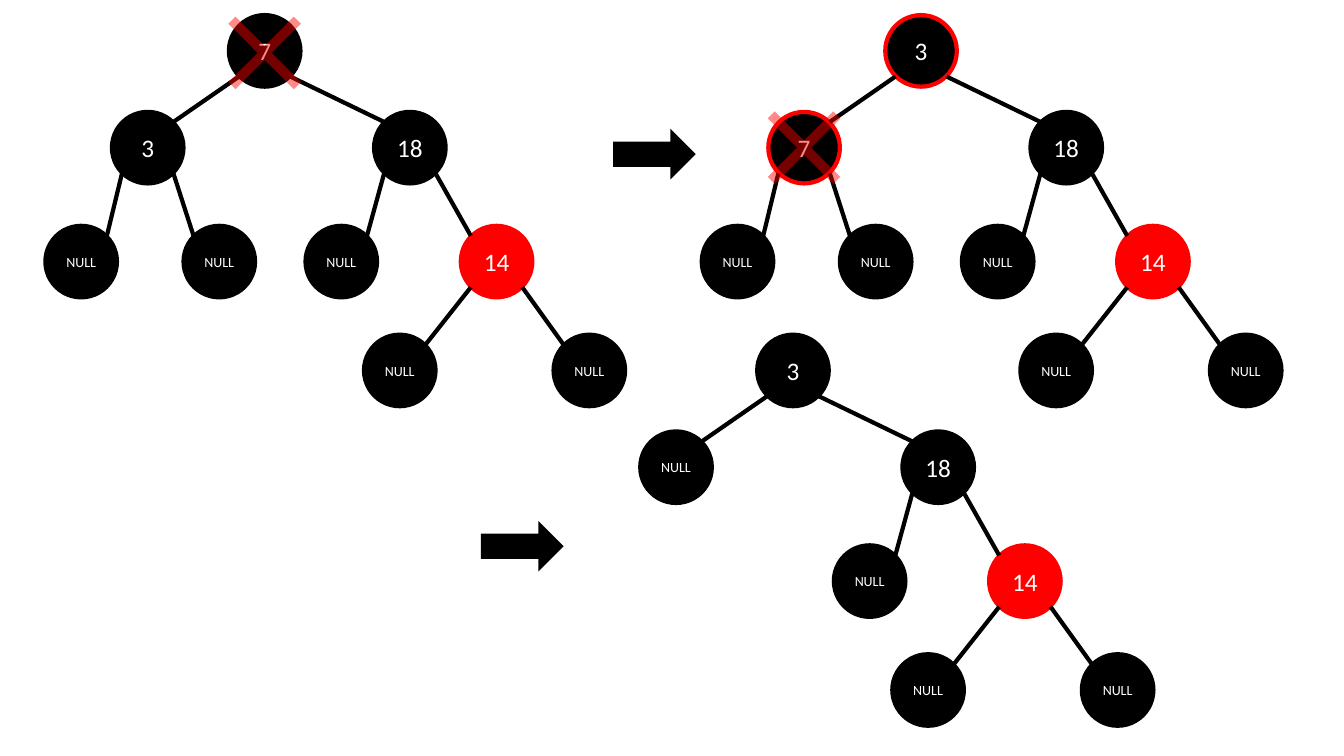
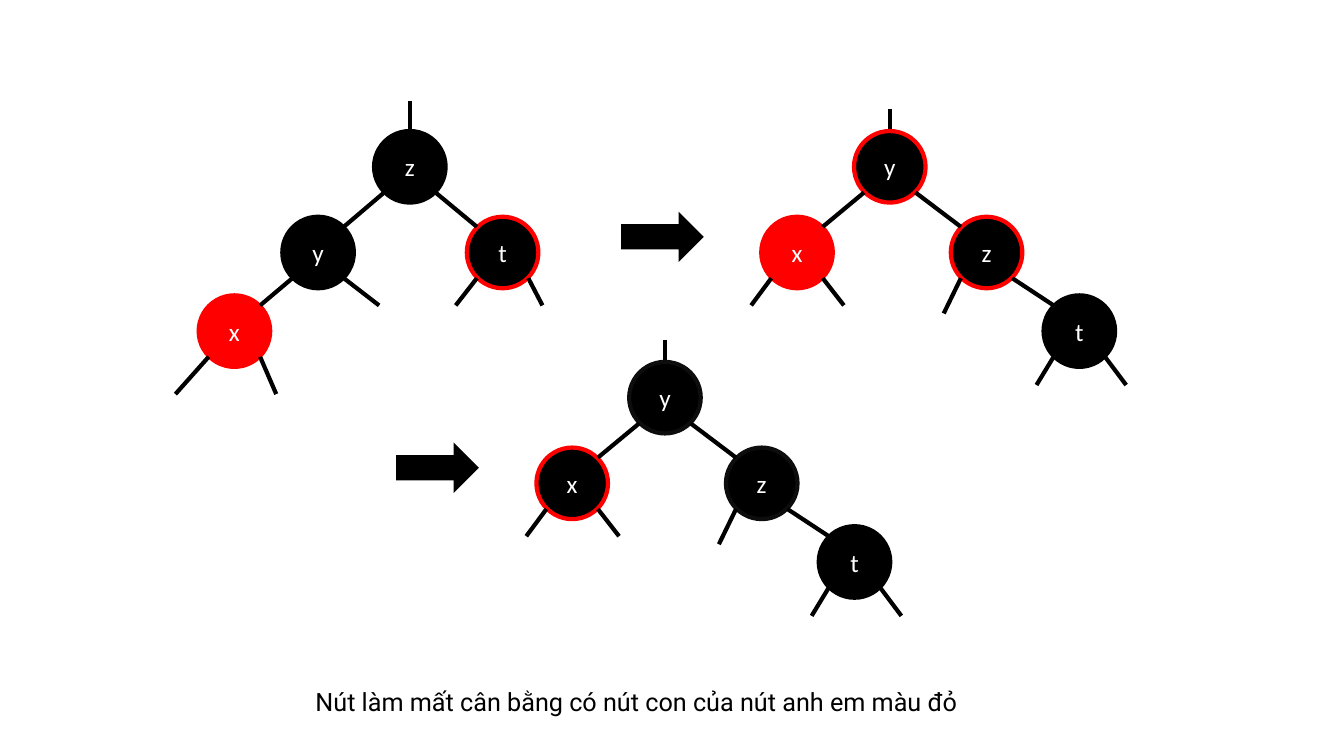
from lxml.etree import SubElement
from pptx import Presentation
from pptx.dml.color import RGBColor
from pptx.enum.shapes import MSO_CONNECTOR, MSO_SHAPE
from pptx.enum.text import MSO_ANCHOR, MSO_AUTO_SIZE, PP_ALIGN
from pptx.oxml.ns import qn
from pptx.util import Inches, Pt

BLACK = RGBColor(0x00, 0x00, 0x00)
SOFT_BLACK = RGBColor(0x0D, 0x0D, 0x0D)
RED = RGBColor(0xFF, 0x00, 0x00)
WHITE = RGBColor(0xFF, 0xFF, 0xFF)

NODE = 0.71
NEAR, FAR = 0.1, 0.61  # where branches meet a node's circle, from its corner


def add_branch(page, start, end):
    """Draw a thick black line between two points given in inches."""
    branch = page.shapes.add_connector(
        MSO_CONNECTOR.STRAIGHT, *[Inches(value) for value in (*start, *end)])
    branch.line.color.rgb = BLACK
    branch.line.width = Pt(3)
    SubElement(branch._element.spPr, qn("a:effectLst"))


def draw_tree(page, left, top, layout, labels, outlines, red_label, stem=0):
    """Draw a tree whose root circle has its top left corner at left, top."""
    if stem:
        middle = left + NODE / 2
        add_branch(page, (middle, top - stem), (middle, top))
    for (parent, across, down, *stubs), label in zip(layout, labels):
        if label is None:
            continue
        x, y = left + across, top + down
        fill = RED if label == red_label else BLACK
        node = page.shapes.add_shape(
            MSO_SHAPE.OVAL, Inches(x), Inches(y), Inches(NODE), Inches(NODE))
        node.shadow.inherit = False
        node.fill.solid()
        node.fill.fore_color.rgb = fill
        node.line.color.rgb = outlines.get(label, fill)
        node.line.width = Pt(3)
        frame = node.text_frame
        frame.margin_left = frame.margin_right = 0
        frame.vertical_anchor = MSO_ANCHOR.MIDDLE
        frame.text = label
        para = frame.paragraphs[0]
        para.alignment = PP_ALIGN.CENTER
        span = para.runs[0]
        span.font.name = "Calibri"
        span.font.size = Pt(10 if label == "NULL" else 18)
        span.font.color.rgb = WHITE

        if parent is not None:
            parent_x, parent_y = left + layout[parent][1], top + layout[parent][2]
            leans_left = x < parent_x
            add_branch(
                page,
                (parent_x + (NEAR if leans_left else FAR), parent_y + FAR),
                (x + (FAR if leans_left else NEAR), y + NEAR))
        for run, drop in stubs:
            start = (x + (NEAR if run < 0 else FAR), y + FAR)
            add_branch(page, start, (start[0] + run, start[1] + drop))


deck = Presentation()
deck.slide_width, deck.slide_height = Inches(13.33), Inches(7.5)
blank = deck.slide_layouts[6]
removal_page, rotation_page = [deck.slides.add_slide(blank) for _ in range(2)]

# Each node: parent's index, offset from the root, then open branches below it
removal_layout = [
    (None, 0, 0),
    (0, -1.16, 0.96), (0, 1.44, 0.96),
    (1, -1.82, 2.09), (1, -0.45, 2.09), (2, 0.76, 2.09), (2, 2.3, 2.09),
    (6, 1.34, 3.17), (6, 3.22, 3.17),
]
left_heavy_layout = [
    (None, 0, 0),
    (0, -0.91, 0.85, (0.35, 0.27)),
    (0, 0.92, 0.85, (-0.21, 0.27), (0.14, 0.27)),
    (1, -1.74, 1.63, (-0.33, 0.37), (0.16, 0.37)),
]
right_heavy_layout = [
    (None, 0, 0),
    (0, -0.92, 0.85, (-0.2, 0.27), (0.21, 0.27)),
    (0, 0.96, 0.85, (-0.17, 0.35)),
    (2, 1.88, 1.63, (-0.17, 0.28), (0.21, 0.28)),
]

# Removing the root value 7
lower_labels = ["NULL", "14", "NULL", "NULL"]
removal_steps = [
    (2.27, 0.15, ["7", "3", "18", "NULL", "NULL"], {}),
    (8.78, 0.15, ["3", "7", "18", "NULL", "NULL"], {"3": RED, "7": RED}),
    (7.51, 3.32, ["3", "NULL", "18", None, None], {}),
]
for left, top, upper_labels, outlines in removal_steps:
    draw_tree(removal_page, left, top, removal_layout,
              upper_labels + lower_labels, outlines, "14")

for left, top in [(2, -0.1), (7.35, 0.84)]:
    cross = removal_page.shapes.add_shape(
        MSO_SHAPE.MATH_MULTIPLY, Inches(left), Inches(top), Inches(1.25), Inches(1.25))
    cross.shadow.inherit = False
    cross.adjustments[0] = 0.079
    cross.fill.solid()
    cross.fill.fore_color.rgb = RED
    cross.line.fill.background()
    tint = cross._element.spPr.find(qn("a:solidFill")).find(qn("a:srgbClr"))
    SubElement(tint, qn("a:alpha"), val="46000")

# Rotating when the sibling has a red child
draw_tree(rotation_page, 3.71, 1.3, left_heavy_layout, "zytx", {"t": RED}, "x", 0.3)
draw_tree(rotation_page, 8.47, 1.3, right_heavy_layout, "yxzt",
          {"y": RED, "z": RED}, "x", 0.22)
draw_tree(rotation_page, 6.24, 3.59, right_heavy_layout, "yxzt",
          {"y": SOFT_BLACK, "z": SOFT_BLACK, "x": RED}, None, 0.22)

caption = rotation_page.shapes.add_textbox(
    Inches(3.03), Inches(6.61), Inches(8.02), Inches(0.5))
caption.text_frame.word_wrap = True
caption.text_frame.auto_size = MSO_AUTO_SIZE.SHAPE_TO_FIT_TEXT
caption.text_frame.text = "Nút làm mất cân bằng có nút con của nút anh em màu đỏ"
para = caption.text_frame.paragraphs[0]
para.line_spacing = 1.5
span = para.runs[0]
span.font.name = "Roboto"
span.font.size = Pt(18)
span.font.color.rgb = BLACK

# Arrows between the steps
arrow_places = [
    (removal_page, 6.08, 1.28), (removal_page, 4.77, 5.17),
    (rotation_page, 6.16, 2.1), (rotation_page, 3.93, 4.39),
]
for page, left, top in arrow_places:
    arrow = page.shapes.add_shape(
        MSO_SHAPE.RIGHT_ARROW, Inches(left), Inches(top), Inches(0.82), Inches(0.5))
    arrow.shadow.inherit = False
    arrow.fill.solid()
    arrow.fill.fore_color.rgb = BLACK
    arrow.line.fill.background()

deck.save("out.pptx")
